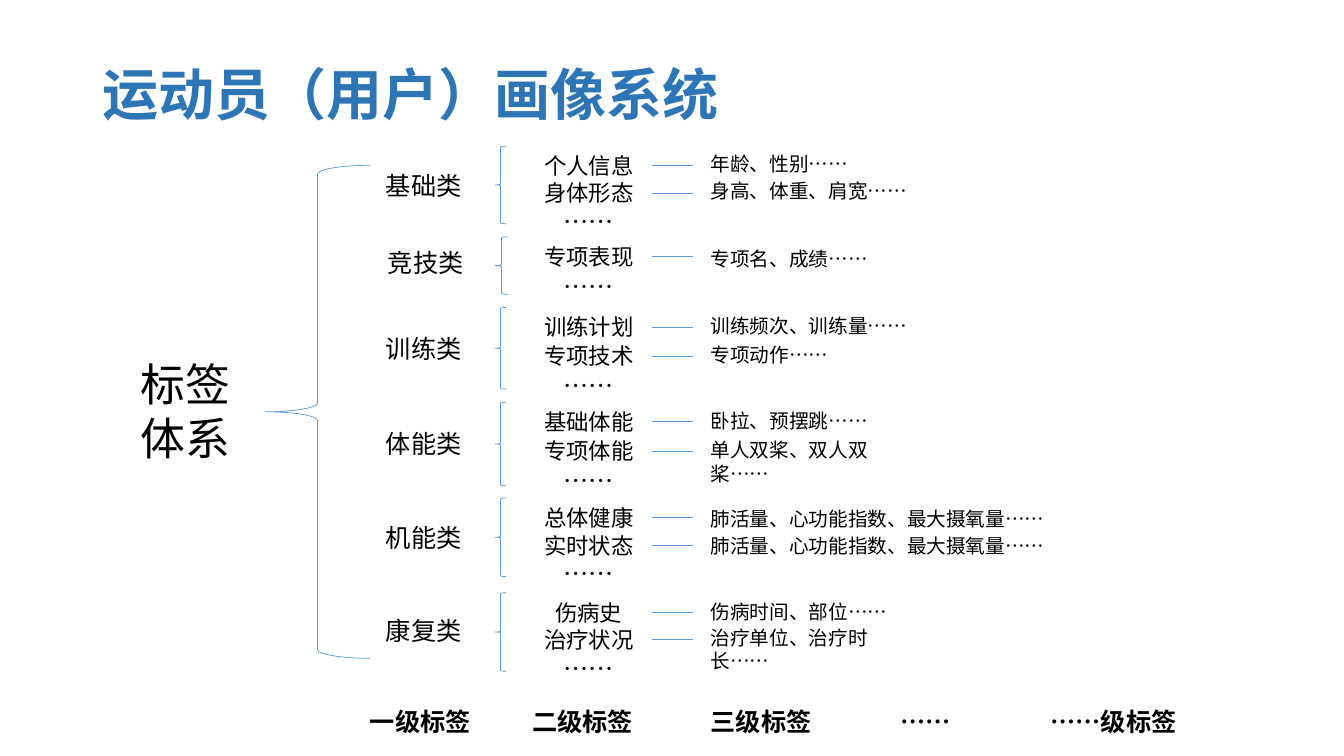
import dataclasses

import lxml.etree
import pptx
import pptx.dml.color
import pptx.enum.shapes
import pptx.enum.text
import pptx.oxml.ns
import pptx.util

PX = 9144  # 100 px to the inch
ALIGN = pptx.enum.text.PP_ALIGN
GROW = pptx.enum.text.MSO_AUTO_SIZE.SHAPE_TO_FIT_TEXT


@dataclasses.dataclass(frozen=True)
class Theme:
    font: str = "Noto Sans CJK SC"
    title: str = "2E75B6"
    ink: str = "000000"
    line: str = "5B9BD5"
    head: int = 40
    root: int = 32
    label: int = 18
    tag: int = 16
    note: int = 14
    thin: float = 0.5


THEME = Theme()

DOTS = "……"
NAME_X, BRACE_X, TAG_X, LINK_END, NOTE_X = 373, 491, 521, 687, 695
NAME_W, TAG_W = 100, 126
FOOT_Y = 696

# name, (left, top), brace (top, width, height), dots top,
# rows of (tag, top, note, note top, note width)
GROUPS = [
    ("基础类", (NAME_X, 164), (145, 11, 77), 200, [
        ("个人信息", 146, "年龄、性别……", 146, 194),
        ("身体形态", 173, "身高、体重、肩宽……", 173, 230)]),
    ("竞技类", (NAME_X + 2, 240), (235, 13, 57), 264, [
        ("专项表现", 236, "专项名、成绩……", 240, 230)]),
    ("训练类", (NAME_X, 326), (305, 11, 81), 362, [
        ("训练计划", 306, "训练频次、训练量……", 307, 230),
        ("专项技术", 335, "专项动作……", 335, 230)]),
    ("体能类", (NAME_X, 420), (399, 11, 83), 457, [
        ("基础体能", 400, "卧拉、预摆跳……", 401, 230),
        ("专项体能", 429, "单人双桨、双人双桨……", 430, 230)]),
    ("机能类", (NAME_X, 513), (494, 11, 78), 549, [
        ("总体健康", 495, "肺活量、心功能指数、最大摄氧量……", 498, 364),
        ("实时状态", 523, "肺活量、心功能指数、最大摄氧量……", 525, 364)]),
    ("康复类", (NAME_X, 606), (588, 11, 78), 643, [
        ("伤病史", 589, "伤病时间、部位……", 590, 230),
        ("治疗状况", 616, "治疗单位、治疗时长……", 616, 230)]),
]

# text, left, width
LEVELS = [
    ("一级标签", 357, 132),
    ("二级标签", 518, 132),
    ("三级标签", 695, 132),
    (DOTS, 883, 132),
    ("……级标签", 1032, 171),
]


def apply(item, values):
    for name, value in values.items():
        setattr(item, name, value)


def scale(*lengths):
    return [pptx.util.Emu(length * PX) for length in lengths]


def color(code):
    return pptx.dml.color.RGBColor.from_string(code)


def write(frame, text, size, ink=THEME.ink, bold=False, align=ALIGN.LEFT):
    """Put one run in the frame, with Latin and East Asian fonts set."""
    para = frame.paragraphs[0]
    para.alignment = align
    run = para.add_run()
    run.text = text
    apply(run.font, {"size": pptx.util.Pt(size), "bold": bold,
                     "name": THEME.font})
    run.font.color.rgb = color(ink)
    lxml.etree.SubElement(run._r.get_or_add_rPr(), pptx.oxml.ns.qn("a:ea"),
                          typeface=THEME.font)
    return para


def add_title(slide, text):
    title = slide.shapes.title
    left, top, width, height = scale(92, 40, 1150, 113)
    apply(title, {"left": left, "top": top, "width": width, "height": height})
    title.text_frame.vertical_anchor = pptx.enum.text.MSO_ANCHOR.MIDDLE
    para = write(title.text_frame, text, THEME.head, THEME.title, True)
    para.line_spacing = 0.9


def add_label(slide, text, place, size, **style):
    box = slide.shapes.add_textbox(*scale(*place))
    apply(box.text_frame, {"word_wrap": True, "auto_size": GROW})
    write(box.text_frame, text, size, **style)
    return box


def draw_line(line):
    line.color.rgb = color(THEME.line)
    line.width = pptx.util.Pt(THEME.thin)


def add_brace(slide, *place):
    kind = pptx.enum.shapes.MSO_SHAPE.LEFT_BRACE
    brace = slide.shapes.add_shape(kind, *scale(*place))
    brace.shadow.inherit = False
    brace.fill.background()
    draw_line(brace.line)


def add_link(slide, box):
    """Draw a level line from the middle of the box's right side."""
    kind = pptx.enum.shapes.MSO_CONNECTOR.STRAIGHT
    link = slide.shapes.add_connector(kind, 0, 0, *scale(LINK_END, 0))
    link.begin_connect(box, 3)
    link.end_y = link.begin_y
    draw_line(link.line)
    lxml.etree.SubElement(link._element.spPr, pptx.oxml.ns.qn("a:effectLst"))


def add_group(slide, name, spot, brace, dots, rows):
    add_label(slide, name, (*spot, NAME_W, 40), THEME.label)
    add_brace(slide, BRACE_X, *brace)
    for tag, top, note, note_top, width in rows:
        box = add_label(slide, tag, (TAG_X, top, TAG_W, 37), THEME.tag,
                        align=ALIGN.CENTER)
        add_link(slide, box)
        add_label(slide, note, (NOTE_X, note_top, width, 34), THEME.note)
    add_label(slide, DOTS, (TAG_X, dots, TAG_W, 40), THEME.label,
              align=ALIGN.CENTER)


def main():
    deck = pptx.Presentation()
    width, height = scale(1333, 750)
    apply(deck, {"slide_width": width, "slide_height": height})
    slide = deck.slides.add_slide(deck.slide_layouts[5])
    add_title(slide, "运动员（用户）画像系统")
    add_label(slide, "标签体系", (130, 349, 125, 118), THEME.root)
    add_brace(slide, 263, 164, 104, 489)
    for group in GROUPS:
        add_group(slide, *group)
    for text, left, wide in LEVELS:
        add_label(slide, text, (left, FOOT_Y, wide, 40), THEME.label,
                  bold=True)
    deck.save("out.pptx")


if __name__ == "__main__":
    main()
